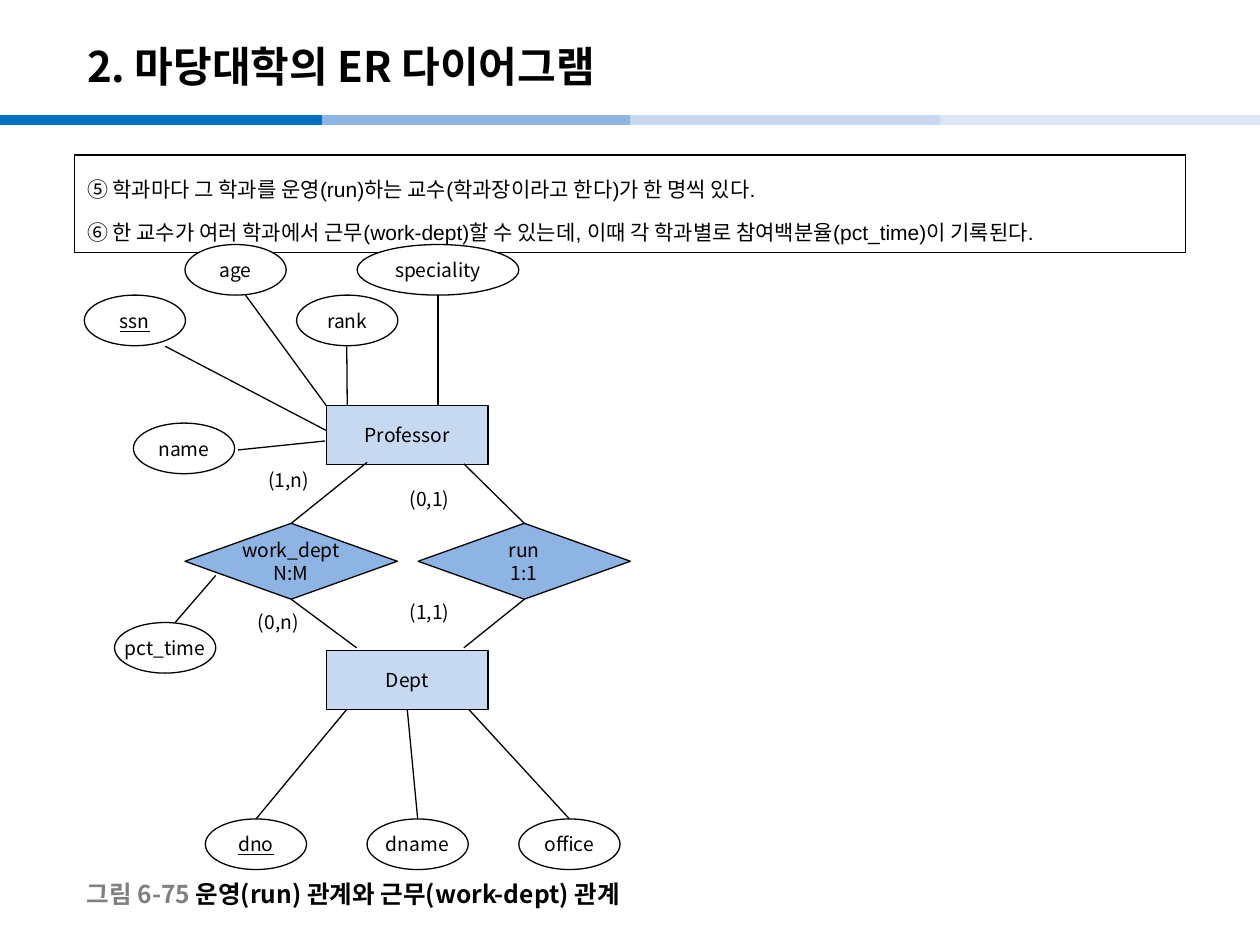
from lxml import etree
from pptx import Presentation
from pptx.dml.color import RGBColor
from pptx.enum.shapes import MSO_CONNECTOR as CONN, MSO_SHAPE as SHAPE
from pptx.enum.text import MSO_ANCHOR as ANCHOR, PP_ALIGN as ALIGN
from pptx.oxml.ns import qn
from pptx.util import Cm, Pt

rgb = RGBColor.from_string
NOTO = "Noto Sans CJK KR"


def style(p, size, font=NOTO, bold=False, underline=False):
    for r in p.runs:
        r.font.size = Pt(size)
        r.font.name = font
        r.font.bold = bold
        r.font.underline = underline
        r.font.color.rgb = rgb("000000")
        etree.SubElement(r._r.rPr, qn("a:ea"), typeface=NOTO)


def add_line(shapes, x1, y1, x2, y2, color="000000", width=0.75):
    ln = shapes.add_connector(CONN.STRAIGHT, Cm(x1), Cm(y1), Cm(x2), Cm(y2))
    ln.line.color.rgb = rgb(color)
    ln.line.width = Pt(width)
    etree.SubElement(ln._element.spPr, qn("a:effectLst"))
    return ln


prs = Presentation()
prs.slide_width, prs.slide_height = Cm(25.4), Cm(19.05)
s = prs.slides.add_slide(prs.slide_layouts[5])

bars = [(0, "0070C0"), (6.5, "8EB4E3"), (12.7, "C6D9F1"), (18.95, "DCE6F2")]
for x, color in bars:
    add_line(s.shapes, x, 2.42, x + 6.5, 2.42, color, 6)

title = s.shapes.title
title.left, title.top, title.width, title.height = Cm(1.5), Cm(0.56), Cm(21), Cm(1.52)
tf = title.text_frame
tf.text = "2. 마당대학의 ER 다이어그램"
tf.vertical_anchor = ANCHOR.MIDDLE
tf.paragraphs[0].alignment = ALIGN.LEFT
style(tf.paragraphs[0], 24, bold=True)

table = s.shapes.add_table(1, 1, Cm(1.5), Cm(3.12), Cm(22.4), Cm(1.68)).table
table.first_row = table.horz_banding = False
cell = table.cell(0, 0)
cell.vertical_anchor = ANCHOR.MIDDLE
cell.text_frame.text = (
    "⑤ 학과마다 그 학과를 운영(run)하는 교수(학과장이라고 한다)가 한 명씩 있다.\n"
    "⑥ 한 교수가 여러 학과에서 근무(work-dept)할 수 있는데, "
    "이때 각 학과별로 참여백분율(pct_time)이 기록된다."
)
for p in cell.text_frame.paragraphs:
    p.line_spacing = 1.4
    style(p, 12, "Arial")
tcPr = cell._tc.get_or_add_tcPr()
for side in ("a:lnL", "a:lnR", "a:lnT", "a:lnB"):
    border = etree.SubElement(tcPr, qn(side), w=str(Pt(1)))
    fill = etree.SubElement(border, qn("a:solidFill"))
    etree.SubElement(fill, qn("a:srgbClr"), val="000000")
cell.fill.solid()
cell.fill.fore_color.rgb = rgb("FFFFFF")

diagram = s.shapes.add_group_shape().shapes
kinds = {
    "entity": (SHAPE.RECTANGLE, 3.26, 1.19, "C6D9F1"),
    "relation": (SHAPE.DIAMOND, 4.28, 1.53, "8EB4E3"),
    "attribute": (SHAPE.OVAL, 2.04, 1.02, "FFFFFF"),
    "wide": (SHAPE.OVAL, 3.26, 1.02, "FFFFFF"),
}
nodes = [
    ("entity", "Professor", 6.58, 8.18),
    ("entity", "Dept", 6.58, 13.11),
    ("relation", "work_dept\nN:M", 3.73, 10.55),
    ("relation", "run\n1:1", 8.43, 10.55),
    ("attribute", "age", 3.73, 4.93),
    ("attribute", "ssn", 1.7, 5.95),
    ("attribute", "rank", 5.98, 5.95),
    ("wide", "speciality", 7.2, 4.93),
    ("attribute", "name", 2.69, 8.53),
    ("attribute", "pct_time", 2.31, 12.55),
    ("attribute", "dno", 4.14, 16.51),
    ("attribute", "dname", 7.4, 16.51),
    ("attribute", "office", 10.46, 16.51),
]
shapes = {}
for kind, text, x, y in nodes:
    preset, w, h, color = kinds[kind]
    sp = diagram.add_shape(preset, Cm(x), Cm(y), Cm(w), Cm(h))
    sp.shadow.inherit = False
    sp.fill.solid()
    sp.fill.fore_color.rgb = rgb(color)
    sp.line.color.rgb = rgb("000000")
    sp.line.width = Pt(0.75)
    tf = sp.text_frame
    tf.text = text
    tf.word_wrap = False
    tf.vertical_anchor = ANCHOR.MIDDLE
    for p in tf.paragraphs:
        p.alignment = ALIGN.CENTER
        style(p, 11, underline=text in ("ssn", "dno"))
    shapes[text.split("\n")[0]] = sp

attribute_lines = [
    (3.33, 6.98, 6.58, 8.68),
    (4.95, 5.95, 6.58, 8.18),
    (6.99, 6.98, 7, 8.18),
    (8.83, 5.95, 8.83, 8.18),
    (4.8, 9.07, 6.55, 8.89),
    (4.35, 11.6, 3.53, 12.55),
    (6.99, 14.3, 5.16, 16.51),
    (9.45, 14.3, 11.48, 16.51),
]
for ends in attribute_lines:
    add_line(diagram, *ends)
ln = add_line(diagram, 8.21, 14.3, 8.42, 16.51)
ln.begin_connect(shapes["Dept"], 2)

relation_lines = [
    ("work_dept", 0, 5.87, 10.55, 7.4, 9.32),
    ("work_dept", 2, 5.87, 12.08, 7.19, 13.06),
    ("run", 0, 10.57, 10.55, 9.35, 9.35),
    ("run", 2, 10.57, 12.08, 9.35, 13.06),
]
for name, site, *ends in relation_lines:
    add_line(diagram, *ends).begin_connect(shapes[name], site)

labels = [
    ("(1,n)", 5.16, 9.32),
    ("(0,n)", 4.95, 12.17),
    ("(1,1)", 8.01, 11.98),
    ("(0,1)", 8.01, 9.7),
]
for text, x, y in labels:
    tf = diagram.add_textbox(Cm(x), Cm(y), Cm(1.7), Cm(0.66)).text_frame
    tf.text = text
    tf.word_wrap = True
    style(tf.paragraphs[0], 11)

tf = s.shapes.add_textbox(Cm(1.5), Cm(17.63), Cm(14), Cm(0.79)).text_frame
tf.word_wrap = True
tf.vertical_anchor = ANCHOR.MIDDLE
p = tf.paragraphs[0]
for text in ("그림 6-75 ", "운영(run) 관계와 근무(work-dept) 관계"):
    p.add_run().text = text
style(p, 14, bold=True)
p.runs[0].font.color.rgb = rgb("808080")

prs.save("out.pptx")
